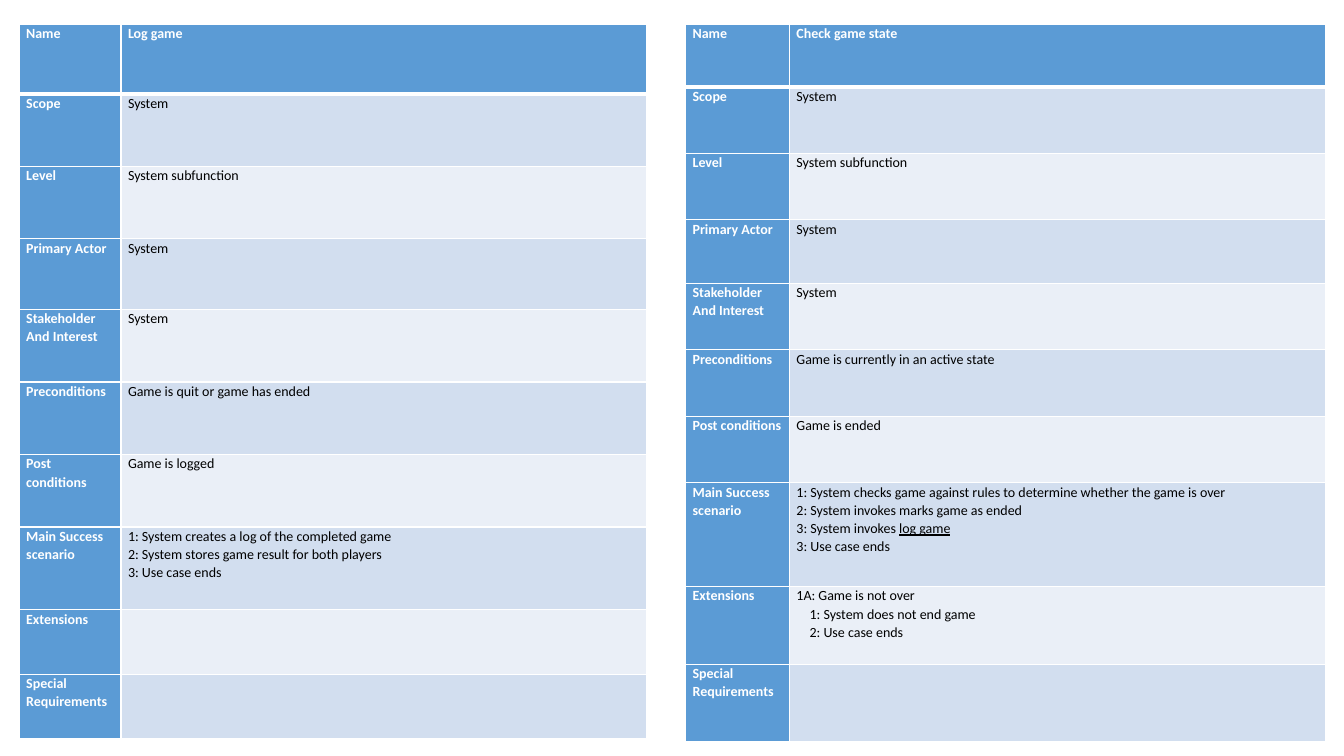
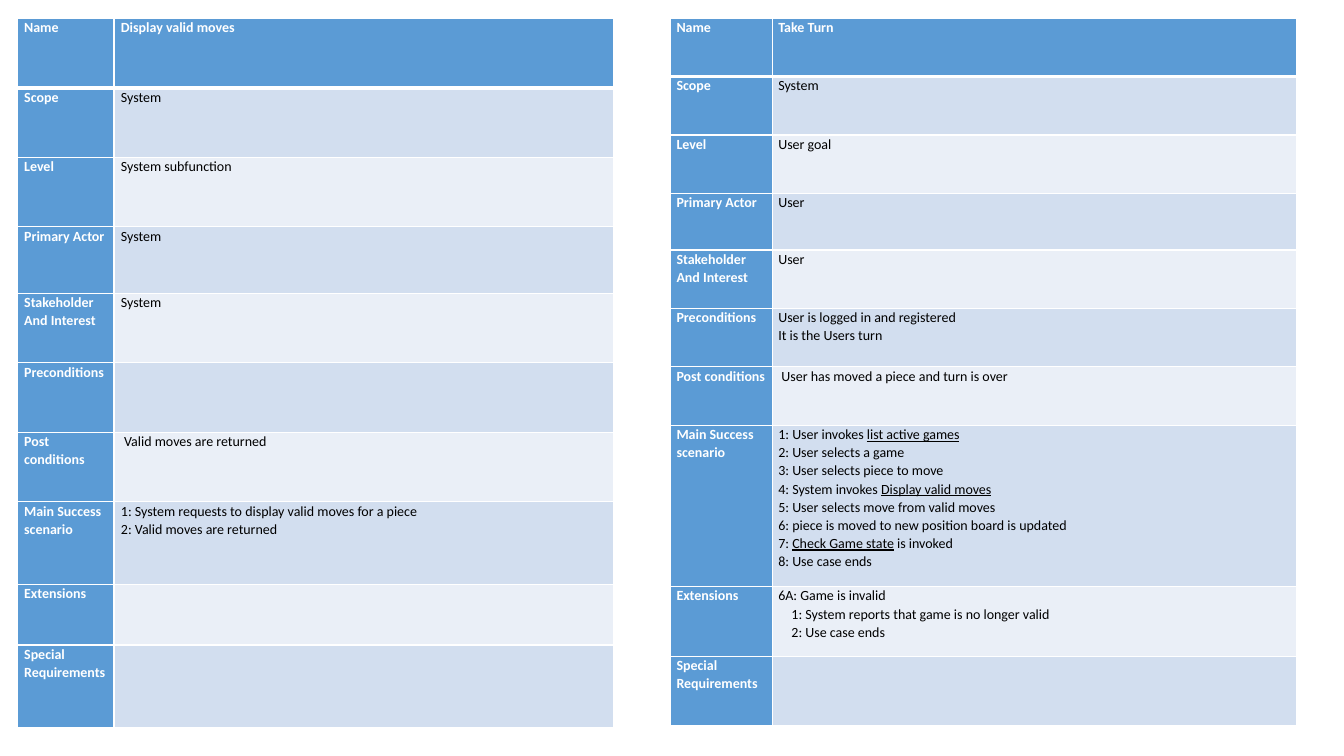
"""Build two slides, each holding two use-case tables side by side."""
from lxml import etree
from pptx import Presentation
from pptx import util as u
from pptx.dml.color import RGBColor
from pptx.oxml.ns import qn

COLORS = {"head": "5B9BD5", "odd": "D2DEEF", "even": "EAEFF7",
          "line": "FFFFFF", "label": "FFFFFF", "body": "000000"}
FONT = {"name": "Calibri", "size": u.Pt(10)}
LABELS = ["Name", "Scope", "Level", "Primary Actor", "Stakeholder\nAnd Interest",
          "Preconditions", "Post conditions", "Main Success scenario",
          "Extensions", "Special Requirements"]
INDENT = u.Inches(0.13)

# "_" switches underline on and off; a leading ">" indents a sub-step.
SLIDES = [
    [
        {"at": (6.8, 0.24), "cols": (1.03, 5.32), "inset": 0.07,
         "rows": [0.62, 0.66, 0.66, 0.63] + [0.66] * 3 + [1.03, 0.77, 0.77],
         "values": ["Check game state", "System", "System subfunction", "System",
                    "System", "Game is currently in an active state", "Game is ended",
                    "1: System checks game against rules to determine whether the game is over\n"
                    "2: System invokes marks game as ended\n"
                    "3: System invokes _log game_\n"
                    "3: Use case ends",
                    "1A: Game is not over\n>1: System does not end game\n>2: Use case ends",
                    ""]},
        {"at": (0.19, 0.24), "cols": (1.01, 5.21), "inset": 0.07,
         "rows": [0.69, 0.72, 0.72, 0.7] + [0.72] * 3 + [0.82, 0.64, 0.64],
         "values": ["Log game", "System", "System subfunction", "System", "System",
                    "Game is quit or game has ended", "Game is logged",
                    "1: System creates a log of the completed game\n"
                    "2: System stores game result for both players\n"
                    "3: Use case ends",
                    "", ""]},
    ],
    [
        {"at": (0.17, 0.18), "cols": (0.96, 4.96), "inset": 0.07,
         "rows": [0.69, 0.69, 0.69, 0.66] + [0.69] * 3 + [0.82, 0.6, 0.82],
         "values": ["Display valid moves", "System", "System subfunction", "System",
                    "System", "", " Valid moves are returned",
                    "1: System requests to display valid moves for a piece\n"
                    "2: Valid moves are returned",
                    "", ""]},
        {"at": (6.65, 0.18), "cols": (1.01, 5.2), "inset": 0.06,
         "rows": [0.58, 0.58, 0.58, 0.56] + [0.58] * 3 + [1.6, 0.69, 0.69],
         "values": ["Take Turn", "System", "User goal", "User", "User",
                    "User is logged in and registered\nIt is the Users turn",
                    " User has moved a piece and turn is over",
                    "1: User invokes _list active games_\n"
                    "2: User selects a game\n"
                    "3: User selects piece to move\n"
                    "4: System invokes _Display valid moves_\n"
                    "5: User selects move from valid moves\n"
                    "6: piece is moved to new position board is updated\n"
                    "7: _Check Game state_ is invoked\n"
                    "8: Use case ends",
                    "6A: Game is invalid\n"
                    ">1: System reports that game is no longer valid\n"
                    ">2: Use case ends",
                    ""]},
    ],
]


def style_cell(cell, fill, inset, top, bottom):
    tc_pr = cell._tc.get_or_add_tcPr()
    for side, width in {"L": 1, "R": 1, "T": top, "B": bottom}.items():
        ln = etree.SubElement(tc_pr, qn(f"a:ln{side}"), w=str(u.Pt(width)))
        solid = etree.SubElement(ln, qn("a:solidFill"))
        etree.SubElement(solid, qn("a:srgbClr"), val=COLORS["line"])
    cell.fill.solid()
    cell.fill.fore_color.rgb = RGBColor.from_string(COLORS[fill])
    margins = {"margin_left": inset, "margin_right": inset,
               "margin_top": 0, "margin_bottom": 0}
    for name, value in margins.items():
        setattr(cell, name, u.Inches(value))


def write_text(tf, content, color, bold):
    for i, line in enumerate(content.split("\n")):
        p = tf.add_paragraph() if i else tf.paragraphs[0]
        p.line_spacing = 1.07
        if line.startswith(">"):
            p._p.get_or_add_pPr().set("marL", str(INDENT))
        for k, part in enumerate(line.lstrip(">").split("_")):
            if part:
                r = p.add_run()
                r.text = part
                for name, value in {**FONT, "bold": bold, "underline": k % 2 == 1}.items():
                    setattr(r.font, name, value)
                r.font.color.rgb = RGBColor.from_string(COLORS[color])


prs = Presentation()
prs.slide_width, prs.slide_height = u.Inches(13.33), u.Inches(7.5)

for cases in SLIDES:
    s = prs.slides.add_slide(prs.slide_layouts[6])
    for case in cases:
        box = [*case["at"], sum(case["cols"]), sum(case["rows"])]
        table = s.shapes.add_table(len(LABELS), 2, *map(u.Inches, box)).table
        table.first_row = table.horz_banding = False
        for col, width in zip(table.columns, case["cols"]):
            col.width = u.Inches(width)
        for i, (label, value) in enumerate(zip(LABELS, case["values"])):
            table.rows[i].height = u.Inches(case["rows"][i])
            band = "odd" if i % 2 else "even"
            for j, content in enumerate((label, value)):
                head = i == 0 or j == 0
                cell = table.cell(i, j)
                style_cell(cell, "head" if head else band, case["inset"],
                           3 if i == 1 else 1, 3 if i == 0 else 1)
                write_text(cell.text_frame, content, "label" if head else "body", head)

prs.save("out.pptx")
